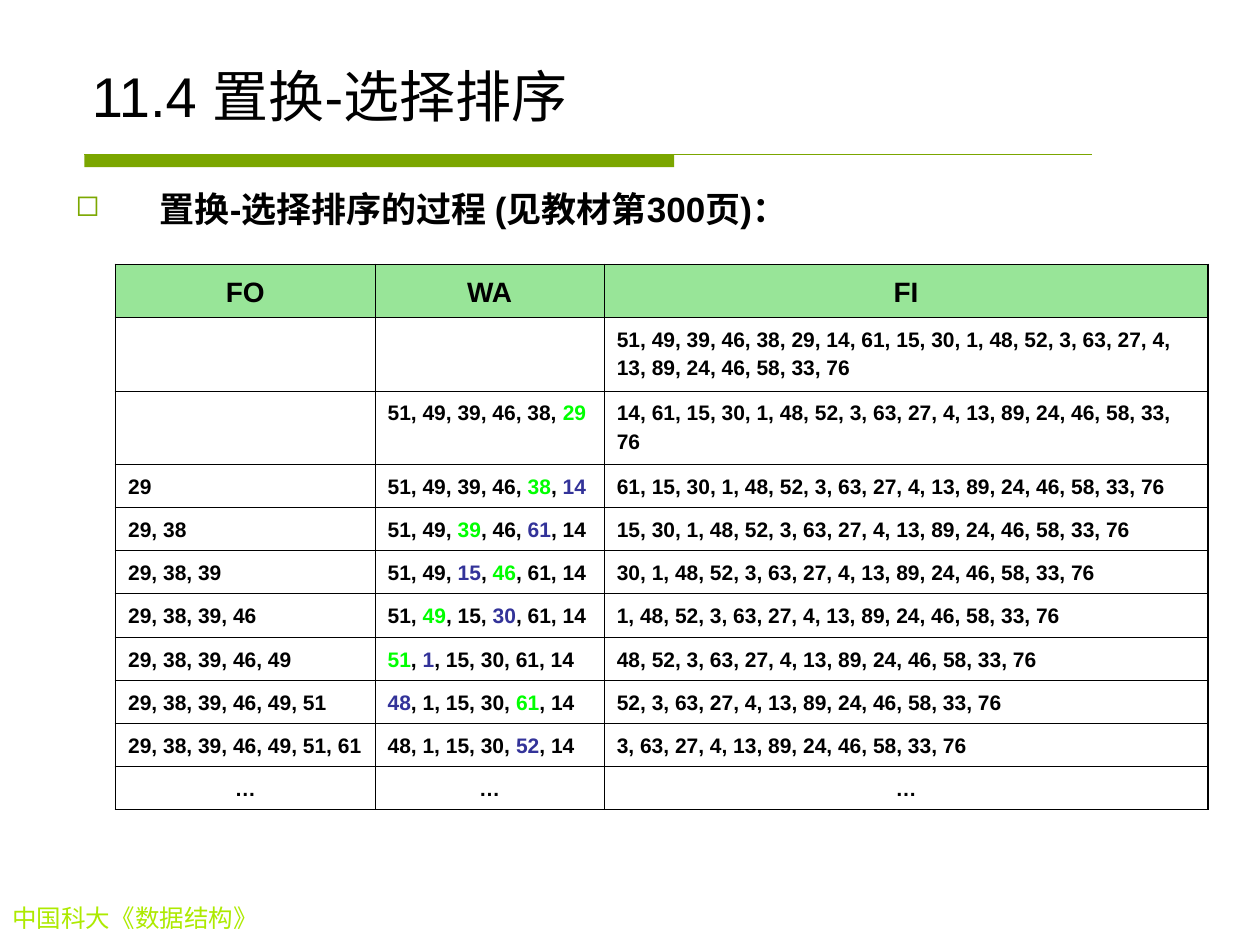
import dataclasses

import lxml.etree
import pptx
import pptx.dml.color
import pptx.enum.shapes
import pptx.enum.text
import pptx.oxml
import pptx.oxml.ns
import pptx.util

Cm, Pt = pptx.util.Cm, pptx.util.Pt
rgb = pptx.dml.color.RGBColor.from_string
qn = pptx.oxml.ns.qn
align = pptx.enum.text.PP_ALIGN


@dataclasses.dataclass
class Theme:
    ink: str = "000000"
    rule: str = "7BA600"
    mark: str = "7CA800"
    foot: str = "ADEA00"
    head: str = "33CC33"
    least: str = "00FF00"
    fresh: str = "333399"
    font: str = "Arial"
    serif: str = "Times New Roman"
    title: int = 32
    lead: int = 20
    label: int = 16
    note: int = 14
    cell: int = 12


theme = Theme()


def write(para, text, size, color=theme.ink, bold=False, face=theme.font):
    run = para.add_run()
    run.text = text
    run.font.size = Pt(size)
    run.font.name = face
    run.font.bold = bold
    run.font.color.rgb = rgb(color)


def edge(cell, side, width):
    """Draw one border of a table cell; side is L, R, T or B."""
    line = lxml.etree.SubElement(cell._tc.get_or_add_tcPr(), qn(f"a:ln{side}"), w=str(Pt(width)))
    fill = lxml.etree.SubElement(line, qn("a:solidFill"))
    lxml.etree.SubElement(fill, qn("a:srgbClr"), val=theme.ink)


deck = pptx.Presentation()
deck.slide_width, deck.slide_height = Cm(25.4), Cm(19.05)
slide = deck.slides.add_slide(deck.slide_layouts[5])
shapes = slide.shapes

# Title and the rule below it
title = shapes.title
title.left, title.top, title.width, title.height = Cm(1.6), Cm(0.84), Cm(22.23), Cm(1.88)
title.text_frame.vertical_anchor = pptx.enum.text.MSO_ANCHOR.BOTTOM
para = title.text_frame.paragraphs[0]
para.alignment = align.LEFT
write(para, "11.4 置换-选择排序", theme.title)

bar = shapes.add_shape(pptx.enum.shapes.MSO_SHAPE.RECTANGLE, Cm(1.7), Cm(3.12), Cm(11.89), Cm(0.25))
bar.shadow.inherit = False
bar.fill.solid()
bar.fill.fore_color.rgb = rgb(theme.rule)
bar.line.fill.background()

rule = shapes.add_connector(pptx.enum.shapes.MSO_CONNECTOR.STRAIGHT, Cm(1.7), Cm(3.12), Cm(22.02), Cm(3.12))
rule.line.color.rgb = rgb(theme.rule)
rule.line.width = Pt(0.75)
lxml.etree.SubElement(rule._element.spPr, qn("a:effectLst"))

# Lead line with its square bullet
lead = shapes.add_textbox(Cm(1.27), Cm(3.81), Cm(21.59), Cm(1.37))
lead.text_frame.word_wrap = True
para = lead.text_frame.paragraphs[0]
para.line_spacing = 0.8
props = para._p.get_or_add_pPr()
props.set("marL", str(Cm(1.7)))
props.set("indent", str(-Cm(1.7)))
tint = lxml.etree.SubElement(props, qn("a:buClr"))
lxml.etree.SubElement(tint, qn("a:srgbClr"), val=theme.mark)
lxml.etree.SubElement(props, qn("a:buSzPct"), val="85000")
lxml.etree.SubElement(props, qn("a:buChar"), char="◻")
write(para, "置换-选择排序的过程 (见教材第300页)：", theme.lead, bold=True)

# Each step sends one key from the work area (WA) to the output (FO)
# and takes the next key from the input (FI).
keys = [51, 49, 39, 46, 38, 29, 14, 61, 15, 30, 1, 48,
        52, 3, 63, 27, 4, 13, 89, 24, 46, 58, 33, 76]
sent = [29, 38, 39, 46, 49, 51, 61]
# In a work area, "|" parts the runs, "*" marks the least key, "+" the fresh one.
areas = [
    "51, 49, 39, 46, 38, |*29",
    "51, 49, 39, 46, |*38|, |+14",
    "51, 49, |*39|, 46, |+61|, 14",
    "51, 49, |+15|, |*46|, 61, 14",
    "51, |*49|, 15,|+ 30|, 61, 14",
    "*51|, |+1|, 15, 30, 61, 14",
    "+48|, 1, 15, 30, |*61|, 14",
    "48, 1, 15, 30, |+52|, 14",
]
rows = [("FO", "WA", "FI"), ("", "", ", ".join(map(str, keys)))]
for step, area in enumerate(areas):
    out = ", ".join(map(str, sent[:step]))
    rest = ", ".join(map(str, keys[step + 6:]))
    rows.append((out, area, rest))
rows.append(("…", "…", "…"))

tints = {"*": theme.least, "+": theme.fresh}
wide = [5.23, 4.62, 12.17]
high = [1.07] + [1.48] * 2 + [0.87] * 8
last = len(rows) - 1
table = shapes.add_table(len(rows), len(wide), Cm(2.33), Cm(5.33), Cm(sum(wide)), Cm(sum(high))).table
table.first_row = table.horz_banding = False
for col, width in zip(table.columns, wide):
    col.width = Cm(width)

for r, texts in enumerate(rows):
    table.rows[r].height = Cm(high[r])
    for c, text in enumerate(texts):
        cell = table.cell(r, c)
        outer = {"L": c == 0, "R": c == 2, "T": r == 0, "B": r == last}
        for side, thick in outer.items():
            edge(cell, side, 1.08 if thick else 0.45)
        if r == 0:
            cell.fill.solid()
            cell.fill.fore_color.rgb = rgb(theme.head)
            shade = cell._tc.tcPr.find(".//" + qn("a:solidFill") + "/" + qn("a:srgbClr") + f"[@val='{theme.head}']")
            lxml.etree.SubElement(shade, qn("a:alpha"), val="50000")
        else:
            cell.fill.background()
        size = theme.cell if r else theme.label
        para = cell.text_frame.paragraphs[0]
        para.line_spacing = 1.2
        para.alignment = align.CENTER if r in (0, last) else align.LEFT
        para.font.size = Pt(size)
        for part in filter(None, text.split("|")):
            write(para, part.lstrip("*+"), size, tints.get(part[0], theme.ink), bold=True)

# Course name at the foot
foot = shapes.add_textbox(Cm(0), Cm(18.08), Cm(7.9), Cm(0.86))
foot.text_frame.word_wrap = True
write(foot.text_frame.paragraphs[0], "中国科大《数据结构》", theme.note, theme.foot, face=theme.serif)

deck.save("out.pptx")
